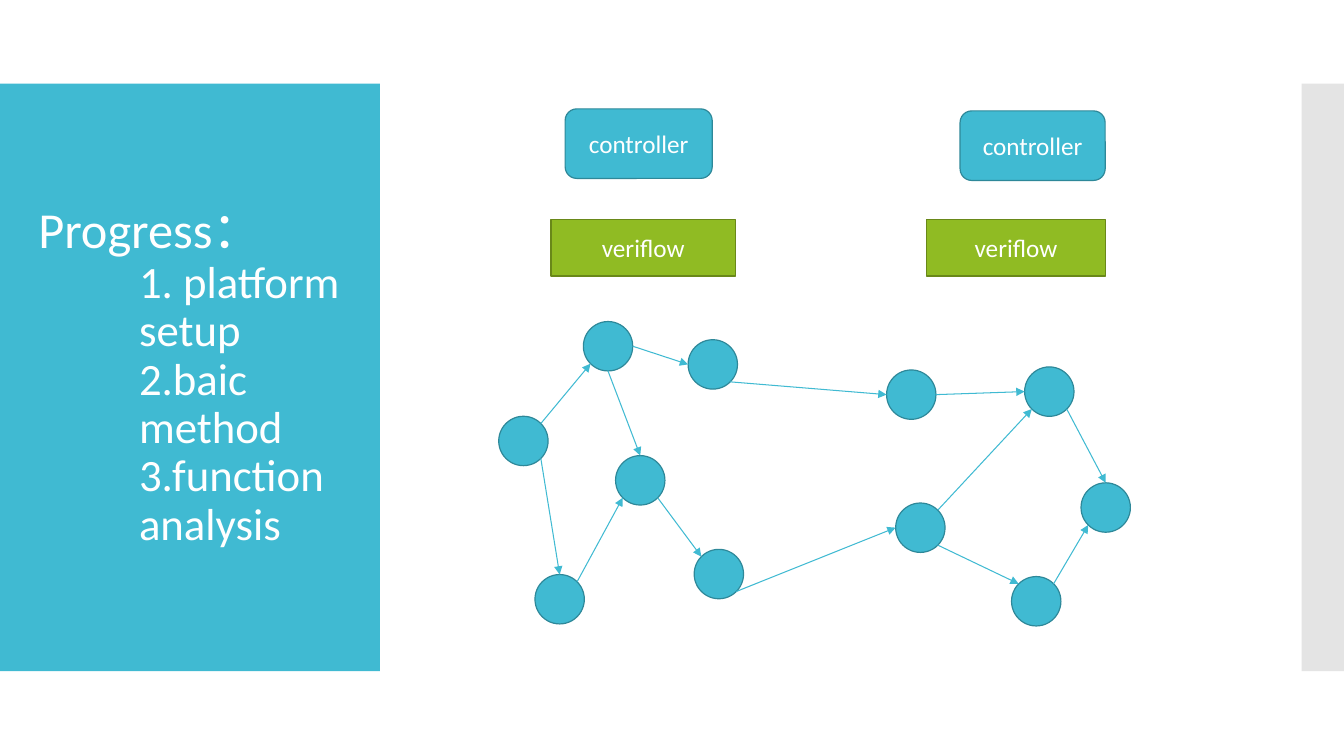
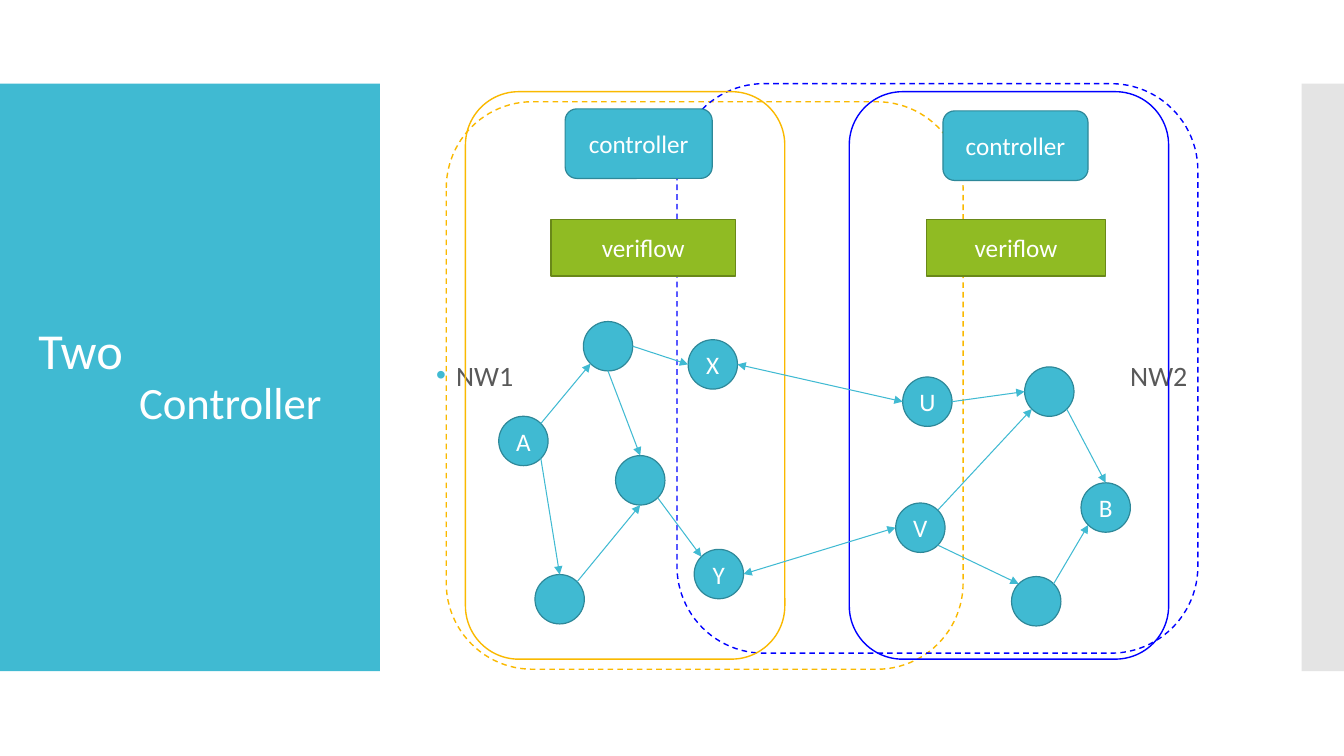
"""Draws two slides on a network that is checked by two controllers."""
import copy
import math
from dataclasses import dataclass

import lxml.etree
import pptx
import pptx.dml.color
import pptx.enum.dml
import pptx.enum.shapes
import pptx.enum.text
import pptx.oxml.ns
import pptx.util

qn = pptx.oxml.ns.qn
sub = lxml.etree.SubElement
KIND = pptx.enum.shapes.MSO_SHAPE
ALIGN = pptx.enum.text.PP_ALIGN
MID = pptx.enum.text.MSO_ANCHOR.MIDDLE
DASH = pptx.enum.dml.MSO_LINE.DASH
SCALE = 9144
TOP, TOP_LEFT, LEFT, LOW_LEFT, LOW, LOW_RIGHT, RIGHT, TOP_RIGHT = range(8)


@dataclass(frozen=True)
class Theme:
    font: str = "Calibri"
    blue: str = "40BAD2"
    edge: str = "2E8899"
    green: str = "90BB23"
    moss: str = "698819"
    gray: str = "C8C8C8"
    white: str = "FFFFFF"
    ink: str = "595959"
    gold: str = "FAB900"
    navy: str = "0000FF"
    head: int = 36
    item: int = 32
    note: int = 20
    label: int = 18
    thin: float = 0.75
    rim: float = 0.85
    ring: float = 1


def px(*sizes):
    return [pptx.util.Emu(size * SCALE) for size in sizes]


def rgb(code):
    return pptx.dml.color.RGBColor.from_string(code)


def apply(thing, form):
    for name, value in form.items():
        setattr(thing, name, value)


class Deck:
    def __init__(self, theme):
        self.theme = theme
        self.show = pptx.Presentation()
        apply(self.show, dict(zip(("slide_width", "slide_height"), px(1334, 750))))
        self.plan = self.show.slide_layouts[5]
        self.slide = None

    def page(self):
        self.slide = self.show.slides.add_slide(self.plan)

    def frame(self):
        for holder in list(self.plan.placeholders):
            if holder.placeholder_format.idx:
                self.plan.shapes.element.remove(holder.element)
        left = self.shape(KIND.RECTANGLE, (0, 83, 377, 583), self.theme.blue)
        right = self.shape(KIND.RECTANGLE, (1292, 83, 42, 583), self.theme.gray)
        tint = right.element.spPr.find(qn("a:solidFill"))[0]
        sub(tint, qn("a:alpha"), val="49000")
        for band in (left, right):
            self.plan.shapes.element.insert(2, band.element)

    def text(self, para, words, size, color):
        run = para.add_run()
        run.text = words
        apply(run.font, {"name": self.theme.font, "size": pptx.util.Pt(size)})
        run.font.color.rgb = rgb(color)
        return run

    def title(self, box, lines):
        title = self.slide.shapes.title
        apply(title, dict(zip(("left", "top", "width", "height"), px(*box))))
        apply(title.text_frame, {"vertical_anchor": MID, "word_wrap": True,
                                 "auto_size": pptx.enum.text.MSO_AUTO_SIZE.NONE})
        para = title.text_frame.paragraphs[0]
        apply(para, {"alignment": ALIGN.LEFT, "line_spacing": 0.9})
        self.hang(para, 100)
        for spot, line in enumerate(lines):
            if spot:
                para.add_line_break()
                rest = para._p.findall(qn("a:br"))[-1]
                rest.append(copy.deepcopy(run._r.rPr))
            size = self.theme.item if spot else self.theme.head
            run = self.text(para, line, size, self.theme.white)

    def hang(self, para, size):
        form = para._p.get_or_add_pPr()
        form.set("marL", str(size * SCALE))
        form.set("indent", str(-size * SCALE))
        return form

    def note(self, box, words, tab):
        frame = self.slide.shapes.add_textbox(*px(*box)).text_frame
        apply(frame, {"word_wrap": True, "vertical_anchor": MID})
        para = frame.paragraphs[0]
        para.line_spacing = 0.9
        form = self.hang(para, 20)
        sub(sub(form, qn("a:buClr")), qn("a:srgbClr"), val=self.theme.blue)
        sub(form, qn("a:buFont"), typeface="Arial")
        sub(form, qn("a:buChar"), char="•")
        sub(sub(form, qn("a:tabLst")), qn("a:tab"), pos=str(tab * SCALE), algn="l")
        self.text(para, words, self.theme.note, self.theme.ink)

    def shape(self, kind, box, fill=None, line=None, words="", width=None, dash=None):
        shape = self.slide.shapes.add_shape(kind, *px(*box))
        shape.shadow.inherit = False
        if fill:
            shape.fill.solid()
            shape.fill.fore_color.rgb = rgb(fill)
        else:
            shape.fill.background()
        if line:
            shape.line.color.rgb = rgb(line)
            apply(shape.line, {"width": pptx.util.Pt(width or self.theme.rim),
                               "dash_style": dash})
        else:
            shape.line.fill.background()
        if words:
            apply(shape.text_frame, {"word_wrap": False, "vertical_anchor": MID})
            para = shape.text_frame.paragraphs[0]
            para.alignment = ALIGN.CENTER
            self.text(para, words, self.theme.label, self.theme.white)
        return shape

    def ring(self, box, color, dash=None):
        self.shape(KIND.ROUNDED_RECTANGLE, box, None, color,
                   width=self.theme.ring, dash=dash)

    def stack(self, spots):
        look = self.theme
        for box in spots:
            self.shape(KIND.ROUNDED_RECTANGLE, box, look.blue, look.edge, "controller")
        for box in ((547, 218, 183, 56), (920, 218, 177, 56)):
            self.shape(KIND.RECTANGLE, box, look.green, look.moss, "veriflow")

    def nodes(self, spots, shown=""):
        return {name: self.shape(KIND.OVAL, (*spot, 49, 49), self.theme.blue,
                                 self.theme.edge, name if name in shown else "")
                for name, spot in spots.items()}

    def site(self, node, spot):
        turn = math.radians(90 + 45 * spot)
        half = node.width / 2
        return (int(node.left + half + half * math.cos(turn)),
                int(node.top + half - half * math.sin(turn)))

    def link(self, start, out, end, into, both=False):
        line = self.slide.shapes.add_connector(
            pptx.enum.shapes.MSO_CONNECTOR.STRAIGHT,
            *self.site(start, out), *self.site(end, into))
        line.line.color.rgb = rgb(self.theme.blue)
        line.line.width = pptx.util.Pt(self.theme.thin)
        form = line.element.spPr
        for tip in ("a:headEnd", "a:tailEnd")[0 if both else 1:]:
            sub(form.find(qn("a:ln")), qn(tip), type="triangle")
        sub(form, qn("a:effectLst"))
        join = line.element.nvCxnSpPr.cNvCxnSpPr
        for tag, node, spot in (("a:stCxn", start, out), ("a:endCxn", end, into)):
            sub(join, qn(tag), id=str(node.shape_id), idx=str(spot))

    def links(self, nodes, routes, both=False):
        for start, out, end, into in routes:
            self.link(nodes[start], out, nodes[end], into, both)


SPOTS = {"A": (495, 413), "X": (683, 337), "K": (579, 319), "M": (611, 452),
         "Y": (689, 545), "D": (531, 570), "U": (880, 367), "R": (1017, 364),
         "B": (1073, 479), "V": (889, 499), "E": (1004, 572)}
ROUTES = [("K", RIGHT, "X", LEFT), ("A", TOP_RIGHT, "K", LOW_LEFT),
          ("A", LOW_RIGHT, "D", TOP), ("M", LOW_RIGHT, "Y", TOP_LEFT),
          ("K", LOW, "M", TOP), ("U", RIGHT, "R", LEFT),
          ("R", LOW_RIGHT, "B", TOP), ("V", LOW_RIGHT, "E", TOP_LEFT),
          ("E", TOP_RIGHT, "B", LOW_LEFT), ("V", TOP_RIGHT, "R", LOW_LEFT)]
FIRST = (561, 108, 146, 69)


def main():
    look = Theme()
    deck = Deck(look)

    deck.page()
    deck.frame()
    deck.title((28, 123, 371, 503), ("Progress：", "1. platform setup",
                                     "2.baic method", "3.function analysis"))
    deck.stack((FIRST, (953, 110, 144, 69)))
    deck.links(deck.nodes(SPOTS), ROUTES + [
        ("X", LOW_RIGHT, "U", LEFT), ("D", TOP_RIGHT, "M", LOW_LEFT),
        ("Y", LOW_RIGHT, "V", LEFT)])

    deck.page()
    deck.ring((443, 101, 513, 563), look.gold, DASH)
    deck.ring((672, 83, 517, 565), look.navy, DASH)
    deck.title((28, 123, 322, 503), ("Two", "Controller"))
    deck.note((423, 94, 800, 560), "NW1\tNW2", 689)
    deck.stack((FIRST, (936, 110, 144, 69)))
    nodes = deck.nodes({**SPOTS, "U": (896, 374)}, "AXYUVB")
    deck.links(nodes, ROUTES + [("D", TOP_RIGHT, "M", LOW)])
    for left, color in ((462, look.gold), (843, look.navy)):
        deck.ring((left, 91, 317, 563), color)
    deck.links(nodes, [("X", RIGHT, "U", LEFT), ("Y", RIGHT, "V", LEFT)], True)

    deck.show.save("out.pptx")


if __name__ == "__main__":
    main()
